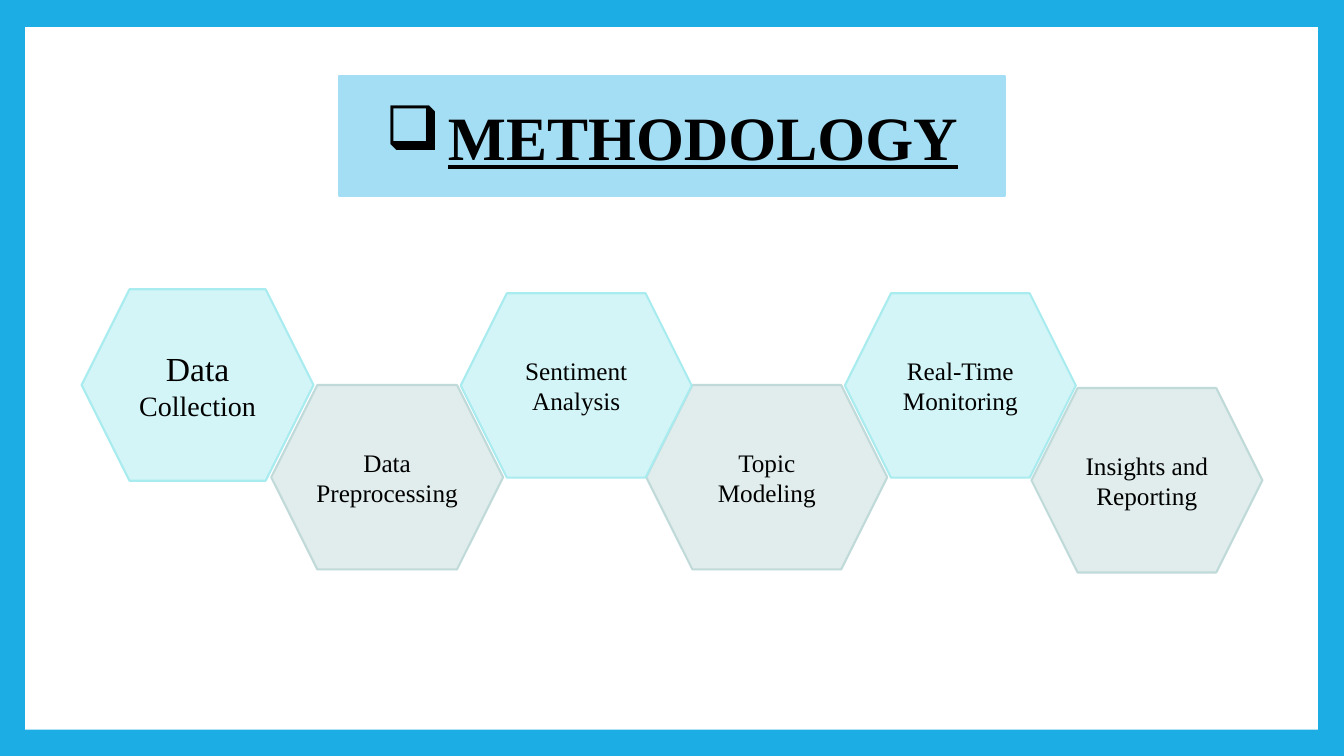
import dataclasses

import pptx
import pptx.dml.color
import pptx.enum.shapes
import pptx.enum.text
import pptx.oxml
import pptx.oxml.ns
import pptx.util

Inches = pptx.util.Inches
Shapes = pptx.enum.shapes.MSO_SHAPE


@dataclasses.dataclass(frozen=True)
class Theme:
    font: str = "Times New Roman"
    background: str = "1CADE4"
    panel: str = "FFFFFF"
    text: str = "000000"
    title_fill: str = "A4DEF4"
    upper: tuple = ("D4F5F7", "A8ECEF")
    lower: tuple = ("E0EDEC", "C0DAD9")
    title_size: int = 44
    lead_size: int = 24
    first_step_size: int = 20
    step_size: int = 18
    line_width: float = 1.5


def color(value):
    return pptx.dml.color.RGBColor.from_string(value)


def add_text(paragraph, text, *, font, size, fill, bold=False, underline=False):
    run = paragraph.add_run()
    run.text = text
    run.font.name = font
    run.font.size = pptx.util.Pt(size)
    run.font.bold = bold
    run.font.underline = underline
    run.font.color.rgb = color(fill)


class SlideBuilder:
    def __init__(self, slide, theme):
        self.slide = slide
        self.theme = theme

    def background(self):
        fill = self.slide.background.fill
        fill.solid()
        fill.fore_color.rgb = color(self.theme.background)

    def paint(self, shape, fill, line=None):
        shape.fill.solid()
        shape.fill.fore_color.rgb = color(fill)
        if line:
            shape.line.color.rgb = color(line)
            shape.line.width = pptx.util.Pt(self.theme.line_width)
        else:
            shape.line.fill.background()

    def center(self, shape):
        frame = shape.text_frame
        frame.word_wrap = True
        frame.auto_size = pptx.enum.text.MSO_AUTO_SIZE.NONE
        frame.vertical_anchor = pptx.enum.text.MSO_ANCHOR.MIDDLE
        paragraph = frame.paragraphs[0]
        paragraph.alignment = pptx.enum.text.PP_ALIGN.CENTER
        return paragraph

    def shape(self, kind, box, fill, line=None):
        shape = self.slide.shapes.add_shape(kind, *map(Inches, box))
        shape.shadow.inherit = False
        self.paint(shape, fill, line)
        return shape

    def panel(self, box):
        panel = self.shape(Shapes.RECTANGLE, box, self.theme.panel)
        # The panel lies behind the title placeholder
        self.slide.shapes.title._element.addprevious(panel._element)

    def title(self, text, box, bullet, indent):
        theme = self.theme
        title = self.slide.shapes.title
        title.left, title.top, title.width, title.height = map(Inches, box)
        namespace = pptx.oxml.ns.nsdecls("a")
        title._element.spPr.append(pptx.oxml.parse_xml(
            f'<a:prstGeom {namespace} prst="flowChartTerminator"><a:avLst/></a:prstGeom>'))
        self.paint(title, theme.title_fill, theme.title_fill)
        paragraph = self.center(title)
        properties = paragraph._p.get_or_add_pPr()
        properties.set("marL", str(Inches(indent)))
        properties.set("indent", str(-Inches(indent)))
        properties.append(pptx.oxml.parse_xml(f'<a:buChar {namespace} char="{bullet}"/>'))
        add_text(paragraph, text, font=theme.font, size=theme.title_size,
                 fill=theme.text, bold=True, underline=True)

    def step(self, box, colors, parts):
        paragraph = self.center(self.shape(Shapes.HEXAGON, box, *colors))
        for text, size in parts:
            add_text(paragraph, text, font=self.theme.font, size=size, fill=self.theme.text)


def main():
    theme = Theme()
    presentation = pptx.Presentation()
    presentation.slide_width = Inches(13.33)
    presentation.slide_height = Inches(7.5)
    slide = presentation.slides.add_slide(presentation.slide_layouts[5])
    builder = SlideBuilder(slide, theme)

    # Frame and title
    builder.background()
    builder.panel((0.25, 0.27, 12.82, 6.97))
    builder.title("METHODOLOGY", (3.36, 0.75, 6.61, 1.19), bullet="❑", indent=0.62)

    # Overlapping chain of steps, from back to front
    first = [("Data ", theme.lead_size), ("Collection", theme.first_step_size)]
    builder.step((0.81, 2.87, 2.3, 1.9), theme.upper, first)
    steps = [
        ("Data Preprocessing", 2.69, 3.82, 2.3, theme.lower),
        ("Real-Time Monitoring", 8.38, 2.91, 2.29, theme.upper),
        ("Topic Modeling", 6.41, 3.82, 2.39, theme.lower),
        ("Sentiment Analysis", 4.57, 2.91, 2.29, theme.upper),
        ("Insights and Reporting", 10.23, 3.85, 2.29, theme.lower),
    ]
    for text, left, top, width, colors in steps:
        builder.step((left, top, width, 1.83), colors, [(text, theme.step_size)])

    presentation.save("out.pptx")


if __name__ == "__main__":
    main()
